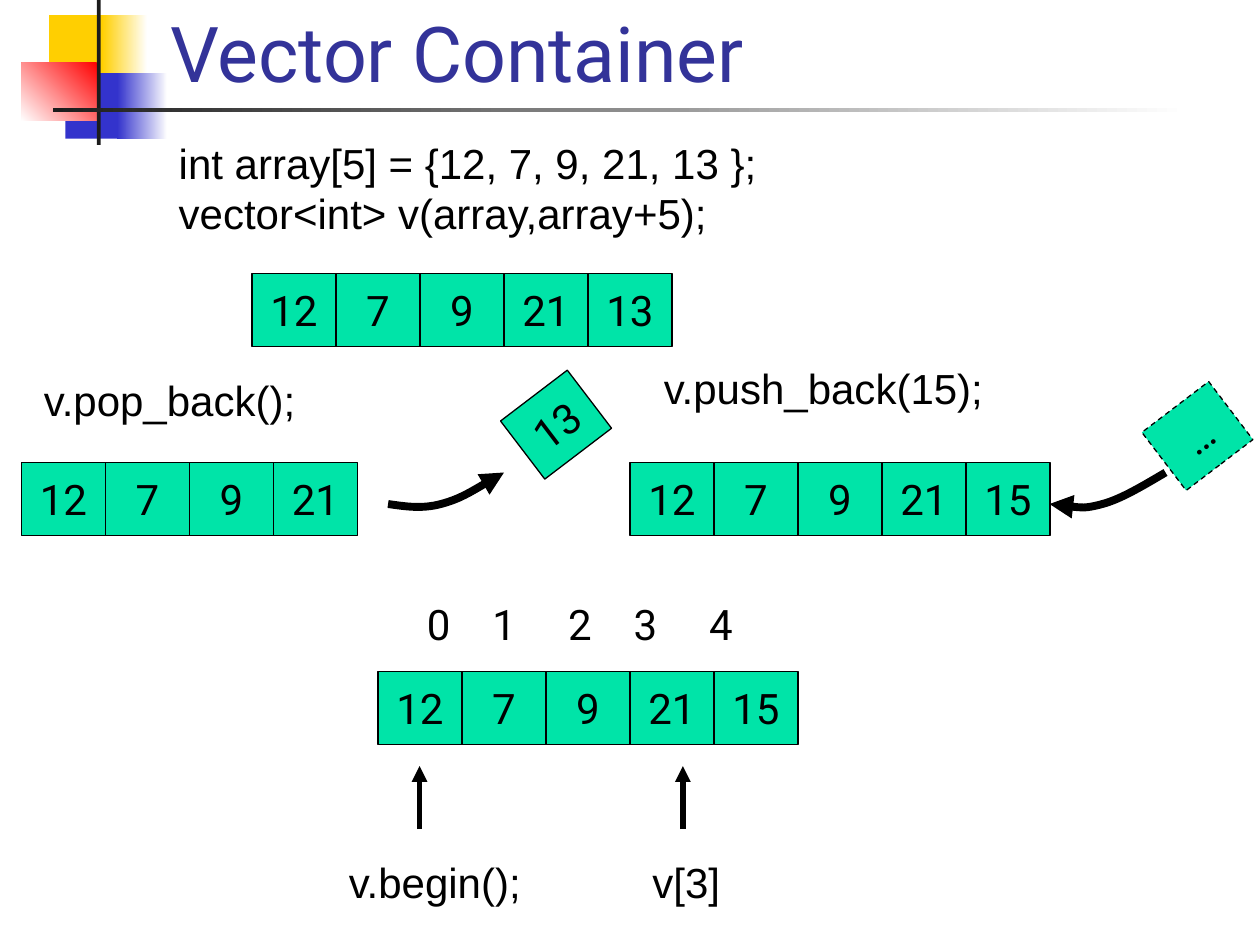
from pptx import Presentation
from pptx.dml.color import RGBColor
from pptx.enum.dml import MSO_LINE
from pptx.enum.shapes import MSO_CONNECTOR, MSO_SHAPE
from pptx.enum.text import MSO_ANCHOR, MSO_AUTO_SIZE, PP_ALIGN
from pptx.oxml.ns import qn
from pptx.util import Inches, Pt
from lxml import etree

RECTANGLE = MSO_SHAPE.RECTANGLE
STRAIGHT = MSO_CONNECTOR.STRAIGHT
DASH = MSO_LINE.DASH
CENTER, LEFT = PP_ALIGN.CENTER, PP_ALIGN.LEFT
MIDDLE, BOTTOM = MSO_ANCHOR.MIDDLE, MSO_ANCHOR.BOTTOM
NO_FIT, GROW = MSO_AUTO_SIZE.NONE, MSO_AUTO_SIZE.SHAPE_TO_FIT_TEXT

BLACK, WHITE, GREEN = "000000", "FFFFFF", "00E4A8"
YELLOW, RED, BLUE, CHARCOAL, NAVY = "FFCF01", "FF0000", "3333CC", "1C1C1C", "333399"
CELL_WIDTH, CELL_HEIGHT = Inches(2 / 3), Inches(0.58)
TILT = -37.3


def rgb(value):
    """Turn a hex string into a colour."""
    return RGBColor.from_string(value)


def style_text(frame, font, size=24, color=BLACK, align=LEFT):
    """Format every paragraph and run of a text frame."""
    for paragraph in frame.paragraphs:
        paragraph.alignment = align
        for run in paragraph.runs:
            run.font.name, run.font.size = font, Pt(size)
            run.font.color.rgb = rgb(color)


def add_block(slide, left, top, width, height, colors, angle=180):
    """Add a borderless rectangle with one colour or a two-colour gradient."""
    block = slide.shapes.add_shape(RECTANGLE, left, top, width, height)
    block.shadow.inherit = False
    block.line.fill.background()
    if len(colors) == 1:
        block.fill.solid()
        block.fill.fore_color.rgb = rgb(colors[0])
    else:
        block.fill.gradient()
        block.fill.gradient_angle = angle
        for stop, color in zip(block.fill.gradient_stops, colors):
            stop.color.rgb = rgb(color)


def add_ornament(slide, left, top):
    """Add the coloured squares and crossing rules of the header."""
    blocks = [
        (0.22, 0.12, 0.48, 0.52, [YELLOW], 180),
        (0.64, 0.12, 0.36, 0.52, [WHITE, YELLOW], 180),
        (0.35, 0.58, 0.46, 0.52, [BLUE], 180),
        (0.76, 0.58, 0.4, 0.52, [WHITE, BLUE], 180),
        (0, 0.5, 0.61, 0.46, [RED, WHITE], 225),
        (0.6, 0, 0.03, 1.15, [CHARCOAL], 180),
        (0.25, 0.86, 9, 0.03, [WHITE, CHARCOAL], 180),
    ]
    for x, y, width, height, colors, angle in blocks:
        add_block(slide, left + Inches(x), top + Inches(y),
                  Inches(width), Inches(height), colors, angle)


def add_title(slide, left, top, width, height):
    """Place and format the title placeholder."""
    title = slide.shapes.title
    title.left, title.top, title.width, title.height = left, top, width, height
    frame = title.text_frame
    frame.text = "Vector Container"
    frame.auto_size, frame.vertical_anchor = NO_FIT, BOTTOM
    style_text(frame, "Roboto", 44, NAVY)


def add_label(slide, text, left, top, width, height=Inches(0.5), font="Arial"):
    """Add an unwrapped line of text and return its frame."""
    frame = slide.shapes.add_textbox(left, top, width, height).text_frame
    frame.word_wrap, frame.auto_size = False, GROW
    frame.text = text
    style_text(frame, font)
    return frame


def add_cell(slide, value, left, top, rotation=0, dash=None):
    """Add one vector element."""
    cell = slide.shapes.add_shape(RECTANGLE, left, top, CELL_WIDTH, CELL_HEIGHT)
    cell.shadow.inherit = False
    cell.rotation = rotation
    cell.fill.solid()
    cell.fill.fore_color.rgb = rgb(GREEN)
    cell.line.color.rgb = rgb(BLACK)
    cell.line.width = Pt(0.75)
    cell.line.dash_style = dash
    frame = cell.text_frame
    frame.word_wrap, frame.vertical_anchor = False, MIDDLE
    frame.text = value
    style_text(frame, "Roboto", align=CENTER)


def add_vector(slide, values, left, top):
    """Add a row of touching vector elements."""
    for index, value in enumerate(values):
        add_cell(slide, value, left + index * CELL_WIDTH, top)


def style_arrow(arrow, weight, end):
    """Give a line its colour and weight and a triangle at one end."""
    arrow.line.color.rgb = rgb(BLACK)
    arrow.line.width = Pt(weight)
    outline = arrow._element.spPr.find(qn("a:ln"))
    etree.SubElement(outline, qn(f"a:{end}"), type="triangle")


def add_curved_arrow(slide, left, top, end):
    """Add a curve rising to the right with an arrowhead at one end."""
    curve = [(0.14, 0.27), (0.27, 0.29), (0.42, 0.25),
             (0.57, 0.21), (0.75, 0.1), (0.92, 0)]
    points = [(left + Inches(x), top + Inches(y)) for x, y in curve]
    builder = slide.shapes.build_freeform(left, top + Inches(0.25))
    builder.add_line_segments(points, close=False)
    arrow = builder.convert_to_shape()
    segments = list(arrow._element.iter(qn("a:lnTo")))
    for first in range(0, len(segments), 3):
        bend = etree.Element(qn("a:cubicBezTo"))
        segments[first].addprevious(bend)
        for segment in segments[first:first + 3]:
            bend.append(segment[0])
            segment.getparent().remove(segment)
    arrow.shadow.inherit = False
    arrow.fill.background()
    style_arrow(arrow, 4.5, end)


def add_pointer(slide, x, top):
    """Add an upward arrow below a vector element."""
    pointer = slide.shapes.add_connector(STRAIGHT, x, top + Inches(0.5), x, top)
    etree.SubElement(pointer._element.spPr, qn("a:effectLst"))
    style_arrow(pointer, 3, "tailEnd")


def add_declaration(slide, left, top):
    """Add the declaration code and the vector it makes."""
    add_label(slide, "int array[5] = {12, 7, 9, 21, 13 };\nvector<int> v(array,array+5);",
              left, top, Inches(4.85), Inches(0.9))
    add_vector(slide, ["12", "7", "9", "21", "13"], left + Inches(0.68), top + Inches(1.13))


def add_pop(slide, left, top):
    """Show the last element leaving the vector."""
    add_label(slide, "v.pop_back();", left + Inches(0.08), top, Inches(2.22))
    add_vector(slide, ["12", "7", "9", "21"], left, top + Inches(0.75))
    add_cell(slide, "13", left + Inches(3.91), top + Inches(0.16), TILT)
    add_curved_arrow(slide, left + Inches(2.91), top + Inches(0.83), "tailEnd")


def add_push(slide, left, top):
    """Show a new element joining the vector."""
    add_label(slide, "v.push_back(15);", left + Inches(0.17), top, Inches(2.75))
    add_vector(slide, ["12", "7", "9", "21", "15"], left, top + Inches(0.84))
    add_cell(slide, "…", left + Inches(4.17), top + Inches(0.34), TILT, DASH)
    add_curved_arrow(slide, left + Inches(3.33), top + Inches(0.92), "headEnd")


def add_access(slide, left, top):
    """Show the indexes of the vector and two ways to reach an element."""
    indexes = add_label(slide, "0\t1\t2\t3\t4", left + Inches(0.29), top,
                        Inches(2.71), font="Roboto")
    properties = indexes.paragraphs[0]._p.get_or_add_pPr()
    tabs = etree.SubElement(properties, qn("a:tabLst"))
    for position in (0.52, 1.12, 1.64, 2.24):
        etree.SubElement(tabs, qn("a:tab"), pos=str(Inches(position)), algn="l")
    add_vector(slide, ["12", "7", "9", "21", "15"], left, top + Inches(0.63))
    for text, text_x, width, arrow_x in [("v.begin();", -0.33, 1.59, 0.33),
                                         ("v[3]", 2.08, 0.76, 2.42)]:
        add_pointer(slide, left + Inches(arrow_x), top + Inches(1.38))
        add_label(slide, text, left + Inches(text_x), top + Inches(2.05), Inches(width))


def main():
    """Build the slide and save it."""
    deck = Presentation()
    deck.slide_width, deck.slide_height = Inches(10), Inches(7.5)
    slide = deck.slides.add_slide(deck.slide_layouts[5])
    add_ornament(slide, Inches(0.17), Inches(0))
    add_title(slide, Inches(1.25), Inches(-0.42), Inches(8.52), Inches(1.25))
    add_declaration(slide, Inches(1.32), Inches(1.04))
    add_pop(slide, Inches(0.17), Inches(2.92))
    add_push(slide, Inches(5), Inches(2.83))
    add_access(slide, Inches(3), Inches(4.7))
    deck.save("out.pptx")


if __name__ == "__main__":
    main()
